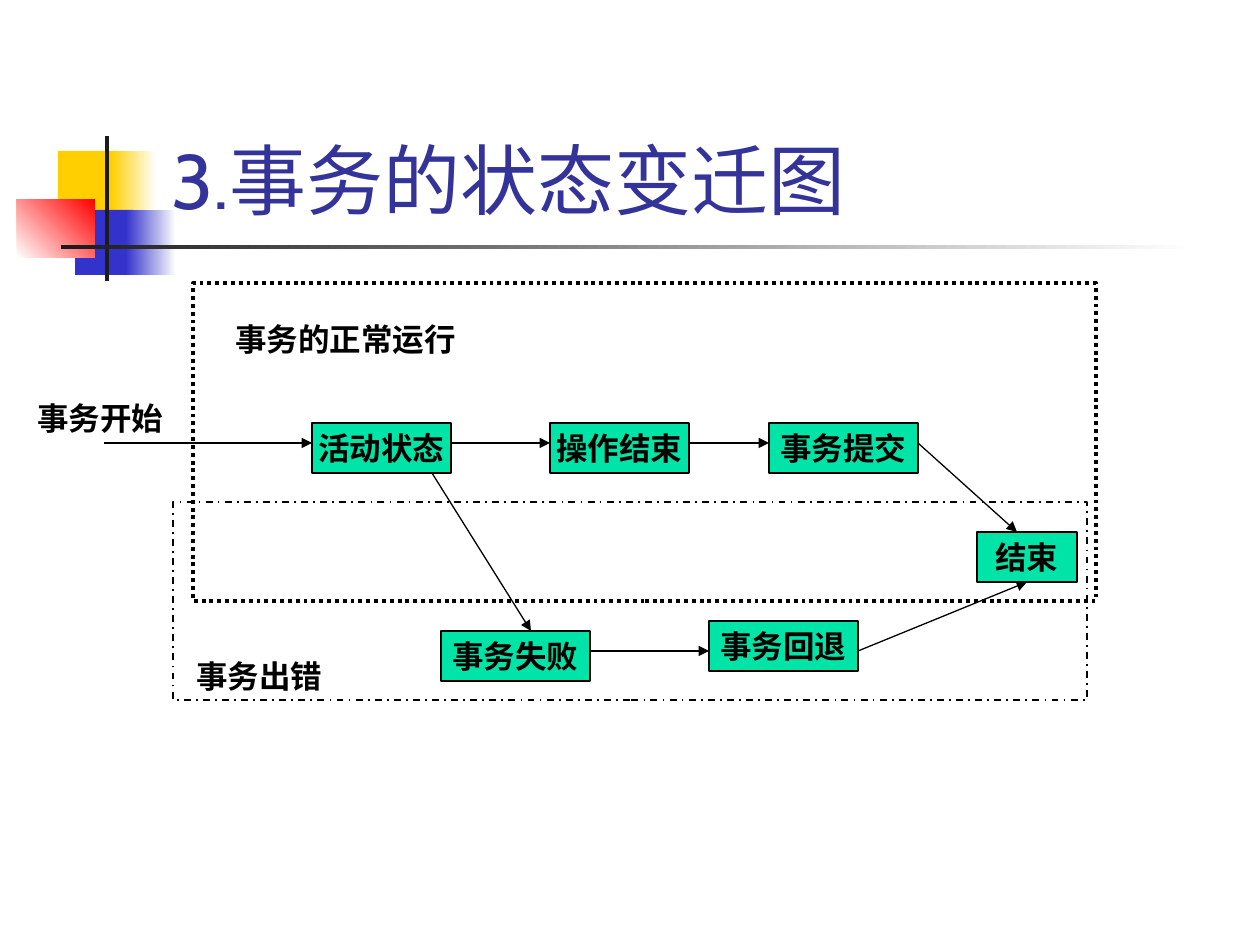
import lxml.etree
import pptx
import pptx.dml.color
import pptx.enum.dml
import pptx.enum.shapes
import pptx.enum.text
import pptx.oxml.ns
import pptx.util

FONT = "Cabin"
BLACK = "000000"
WHITE = "FFFFFF"
MINT = "00E4A8"
DASH = pptx.enum.dml.MSO_LINE
ANCHOR = pptx.enum.text.MSO_ANCHOR
ALIGN = pptx.enum.text.PP_ALIGN


def px(length):
    return pptx.util.Emu(round(length * 914400 / 126))


def color(value):
    return pptx.dml.color.RGBColor.from_string(value)


def add_rectangle(slide, left, top, width, height):
    shape = slide.shapes.add_shape(
        pptx.enum.shapes.MSO_SHAPE.RECTANGLE, px(left), px(top), px(width), px(height))
    shape.shadow.inherit = False
    shape.fill.background()
    shape.line.fill.background()
    return shape


def paint(shape, start, end=None, angle=0):
    if end is None:
        shape.fill.solid()
        shape.fill.fore_color.rgb = color(start)
        return
    shape.fill.gradient()
    shape.fill.gradient_angle = angle
    for stop, value in zip(shape.fill.gradient_stops, (start, end)):
        stop.color.rgb = color(value)


def outline(line, points, dash=None):
    line.color.rgb = color(BLACK)
    line.width = pptx.util.Pt(points)
    if dash is not None:
        line.dash_style = dash


def write(shape, text, size, value, bold, anchor, align=ALIGN.LEFT, wrap=True):
    frame = shape.text_frame
    frame.word_wrap = wrap
    frame.vertical_anchor = anchor
    paragraph = frame.paragraphs[0]
    paragraph.text = text
    paragraph.alignment = align
    paragraph.font.name = FONT
    paragraph.font.size = pptx.util.Pt(size)
    paragraph.font.bold = bold
    paragraph.font.color.rgb = color(value)


def add_text(slide, box, text, size, value, bold, anchor=ANCHOR.TOP):
    shape = slide.shapes.add_textbox(*map(px, box))
    write(shape, text, size, value, bold, anchor)


def add_arrow(slide, start, end):
    connector = slide.shapes.add_connector(
        pptx.enum.shapes.MSO_CONNECTOR.STRAIGHT, *map(px, start + end))
    outline(connector.line, 0.75)
    qn = pptx.oxml.ns.qn
    line = connector.line._get_or_add_ln()
    lxml.etree.SubElement(line, qn("a:tailEnd"), type="triangle")
    lxml.etree.SubElement(connector._element.spPr, qn("a:effectLst"))


def add_ornament(slide, left, top):
    parts = [
        (41, 15, 60, 66, ("FFCF01",)),
        (94, 15, 45, 66, ("FFCF01", WHITE)),
        (58, 74, 58, 65, ("3333CC",)),
        (109, 74, 50, 65, ("3333CC", WHITE)),
        (0, 63, 78, 59, (WHITE, "FF0000", 45)),
        (88, 0, 4, 145, ("1C1C1C",)),
        (44, 109, 1134, 4, ("1C1C1C", WHITE)),
    ]
    for x, y, width, height, paints in parts:
        paint(add_rectangle(slide, left + x, top + y, width, height), *paints)


def add_title(slide, left, top, width, height):
    add_text(slide, (left, top, width, height), "3.事务的状态变迁图",
             44, "333399", False, ANCHOR.BOTTOM)


def add_state_diagram(slide, left, top):
    state_height = 50
    states = {
        "活动状态": (287, 140, 139),
        "操作结束": (525, 140, 139),
        "事务提交": (744, 140, 149),
        "事务失败": (416, 348, 149),
        "事务回退": (684, 338, 149),
        "结束": (952, 249, 100),
    }
    for text, (x, y, width) in states.items():
        shape = add_rectangle(slide, left + x, top + y, width, state_height)
        paint(shape, MINT)
        outline(shape.line, 0.75)
        write(shape, text, 18, BLACK, True, ANCHOR.MIDDLE, ALIGN.CENTER, False)

    def point(state, across, down):
        x, y, width = states[state]
        return left + x + (width if across == "right" else across), top + y + down

    arrows = [
        ((left + 79, top + 160), point("活动状态", 0, 20)),
        (point("活动状态", "right", 20), point("操作结束", 0, 20)),
        (point("操作结束", "right", 20), point("事务提交", 0, 20)),
        (point("事务提交", "right", 20), point("结束", 40, 0)),
        (point("事务失败", "right", 20), point("事务回退", 0, 30)),
        (point("事务回退", "right", 30), point("结束", 50, state_height)),
        (point("活动状态", 120, state_height), point("事务失败", 90, 0)),
    ]
    for start, end in arrows:
        add_arrow(slide, start, end)

    frames = [
        (168, 0, 903, 318, 2.25, DASH.ROUND_DOT),
        (148, 219, 914, 198, 1, DASH.DASH_DOT),
    ]
    for x, y, width, height, points, dash in frames:
        shape = add_rectangle(slide, left + x, top + y, width, height)
        outline(shape.line, points, dash)

    labels = [
        ("事务的正常运行", 198, 31, 318),
        ("事务开始", 0, 110, 169),
        ("事务出错", 159, 368, 159),
    ]
    for text, x, y, width in labels:
        add_text(slide, (left + x, top + y, width, 50), text, 18, BLACK, True)


def main():
    presentation = pptx.Presentation()
    presentation.slide_width = px(1260)
    presentation.slide_height = px(945)
    slide = presentation.slides.add_slide(presentation.slide_layouts[6])
    add_ornament(slide, 17, 136)
    add_title(slide, 159, 29, 1074, 202)
    add_state_diagram(slide, 25, 283)
    presentation.save("out.pptx")


if __name__ == "__main__":
    main()
